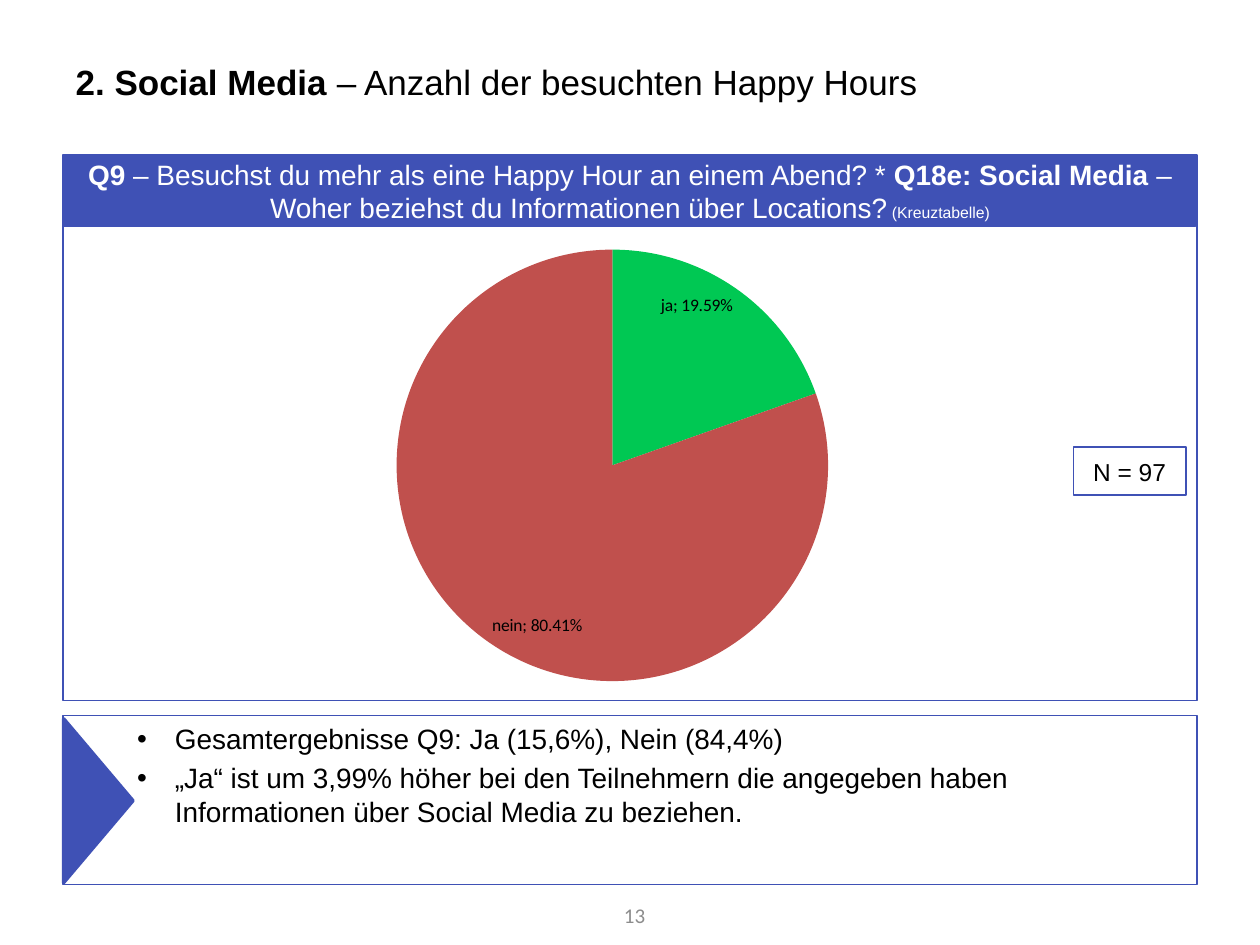
import pptx
import pptx.chart.data
import pptx.dml.color
import pptx.enum.chart
import pptx.enum.shapes
import pptx.enum.text
import pptx.oxml
import pptx.oxml.ns
import pptx.util
import lxml.etree

COLOURS = {
    "indigo": "3F51B5",
    "black": "000000",
    "white": "FFFFFF",
    "grey": "8C8C8C",
    "yes": "00C853",
    "no": "C0504D",
}
COLUMNS, ROWS = 100, 75
ALIGN = pptx.enum.text.PP_ALIGN
ANCHOR = pptx.enum.text.MSO_ANCHOR
SHAPE = pptx.enum.shapes.MSO_SHAPE


def colour(name):
    return pptx.dml.color.RGBColor.from_string(COLOURS[name])


def apply(target, values):
    for name, value in values.items():
        setattr(target, name, value)


class SlideBuilder:
    def __init__(self, presentation):
        self.cell_width = presentation.slide_width / COLUMNS
        self.cell_height = presentation.slide_height / ROWS
        self.slide = presentation.slides.add_slide(presentation.slide_layouts[5])

    def box(self, left, top, width, height):
        return [
            round(left * self.cell_width),
            round(top * self.cell_height),
            round(width * self.cell_width),
            round(height * self.cell_height),
        ]

    def font(self, font, size, tint="black", bold=None, name="Arial"):
        apply(font, {"name": name, "size": pptx.util.Pt(size), "bold": bold})
        font.color.rgb = colour(tint)

    def text(self, shape, paragraphs, size, tint="black", name="Arial",
             align=ALIGN.LEFT, anchor=ANCHOR.MIDDLE, bullet=False):
        frame = shape.text_frame
        apply(frame, {
            "word_wrap": True,
            "auto_size": pptx.enum.text.MSO_AUTO_SIZE.NONE,
            "vertical_anchor": anchor,
        })
        for index, runs in enumerate(paragraphs):
            paragraph = frame.add_paragraph() if index else frame.paragraphs[0]
            paragraph.alignment = align
            if bullet:
                self.bullet(paragraph, size)
            for content, bold, *own_size in runs:
                run = paragraph.add_run()
                run.text = content
                self.font(run.font, own_size[0] if own_size else size, tint, bold, name)

    def bullet(self, paragraph, size):
        paragraph.space_before = pptx.util.Pt(size * 0.2)
        properties = paragraph._p.get_or_add_pPr()
        properties.set("marL", str(pptx.util.Inches(0.79)))
        properties.set("indent", str(pptx.util.Inches(-0.3)))
        for tag, name, value in (("a:buFont", "typeface", "Arial"), ("a:buChar", "char", "•")):
            element = lxml.etree.SubElement(properties, pptx.oxml.ns.qn(tag))
            element.set(name, value)

    def title(self, position, runs):
        title = self.slide.shapes.title
        apply(title, dict(zip(("left", "top", "width", "height"), self.box(*position))))
        self.text(title, [runs], 20)

    def shape(self, kind, position, line=1, fill=None, rotation=0):
        shape = self.slide.shapes.add_shape(kind, *self.box(*position))
        shape.shadow.inherit = False
        apply(shape, {"rotation": rotation})
        shape.line.color.rgb = colour("indigo")
        shape.line.width = pptx.util.Pt(line)
        if fill:
            shape.fill.solid()
            shape.fill.fore_color.rgb = colour(fill)
        else:
            shape.fill.background()
        return shape

    def page_number(self, position, number):
        box = self.slide.shapes.add_textbox(*self.box(*position))
        self.text(box, [[(number, False)]], 12, "grey", "Calibri", ALIGN.RIGHT)

    def pie(self, position, slices, layout):
        data = pptx.chart.data.CategoryChartData(number_format="0.00%")
        data.categories = [label for label, value, tint in slices]
        data.add_series("Series 1", [value for label, value, tint in slices])
        chart = self.slide.shapes.add_chart(
            pptx.enum.chart.XL_CHART_TYPE.PIE, *self.box(*position), data).chart
        apply(chart, {"has_legend": False, "has_title": False})
        self.font(chart.font, 10, name="Calibri")
        plot = chart.plots[0]
        apply(plot, {"vary_by_categories": True, "has_data_labels": True})
        labels = plot.data_labels
        apply(labels, {
            "show_value": True,
            "show_category_name": True,
            "show_percentage": False,
            "number_format": "0.00%",
            "number_format_is_linked": False,
            "position": pptx.enum.chart.XL_LABEL_POSITION.INSIDE_END,
        })
        self.font(labels.font, 10, name="Calibri")
        separator = pptx.oxml.parse_xml(
            f'<c:separator {pptx.oxml.ns.nsdecls("c")}>; </c:separator>')
        labels._element.find(pptx.oxml.ns.qn("c:showBubbleSize")).addnext(separator)
        for index, (label, value, tint) in enumerate(slices):
            fill = plot.series[0].points[index].format.fill
            fill.solid()
            fill.fore_color.rgb = colour(tint)
        self.plot_layout(chart, layout)

    def plot_layout(self, chart, layout):
        area = chart._chartSpace.chart.plotArea
        for old in area.findall(pptx.oxml.ns.qn("c:layout")):
            area.remove(old)
        settings = {"layoutTarget": "inner", "xMode": "edge", "yMode": "edge", **layout}
        values = "".join(f'<c:{name} val="{value}"/>' for name, value in settings.items())
        area.insert(0, pptx.oxml.parse_xml(
            f'<c:layout {pptx.oxml.ns.nsdecls("c")}>'
            f"<c:manualLayout>{values}</c:manualLayout></c:layout>"))


def main():
    presentation = pptx.Presentation()
    apply(presentation, {
        "slide_width": pptx.util.Inches(10),
        "slide_height": pptx.util.Inches(7.5),
    })
    builder = SlideBuilder(presentation)
    builder.title((5, 3, 90, 6.9), [
        ("2. Social Media ", True),
        ("– Anzahl der besuchten Happy Hours", False),
    ])

    findings = builder.shape(SHAPE.RECTANGLE, (5, 56.8, 90, 13.4))
    builder.text(findings, [
        [("Gesamtergebnisse Q9: Ja (15,6%), Nein (84,4%)", False)],
        [("„Ja“ ist um 3,99% höher bei den Teilnehmern die angegeben haben "
          "Informationen über Social Media zu beziehen.", False)],
    ], 16, anchor=ANCHOR.TOP, bullet=True)
    builder.shape(SHAPE.ISOSCELES_TRIANGLE, (1.3, 60.8, 13, 5.5), 2, "indigo", 90)

    builder.shape(SHAPE.RECTANGLE, (5, 12.3, 90, 43.3))
    question = builder.shape(SHAPE.RECTANGLE, (5.1, 12.4, 89.8, 5.5), 2, "indigo")
    builder.text(question, [[
        ("Q9 ", True),
        ("– Besuchst du mehr als eine Happy Hour an einem Abend? * ", False),
        ("Q18e: Social Media", True),
        (" – Woher beziehst du Informationen über Locations?", False),
        (" (Kreuztabelle)", False, 9),
    ]], 16, "white", align=ALIGN.CENTER)

    builder.pie((15.4, 17.9, 69.9, 37.7),
                [("ja", 0.1959, "yes"), ("nein", 0.8041, "no")],
                {"x": 0.23, "y": 0.05, "w": 0.49, "h": 0.91})
    sample = builder.shape(SHAPE.RECTANGLE, (85.2, 35.5, 8.9, 3.8))
    builder.text(sample, [[("N = 97", False)]], 14, align=ALIGN.CENTER)
    builder.page_number((45.9, 70.6, 6.3, 4), "13")
    presentation.save("out.pptx")


if __name__ == "__main__":
    main()
